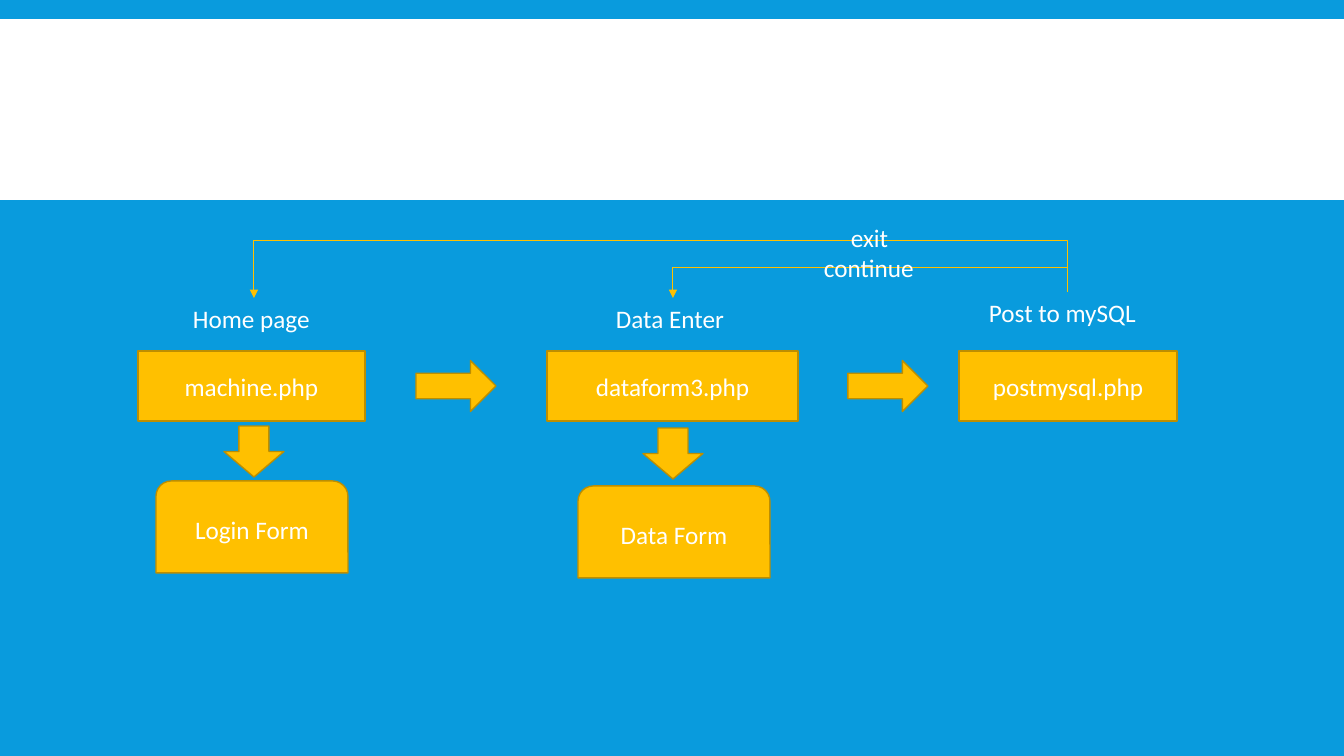
from lxml import etree
from pptx import Presentation
from pptx import util as u
from pptx.dml.color import RGBColor
from pptx.enum import shapes, text
from pptx.oxml import ns

PAGES = [
    {"label": "Home page", "label_at": (183, 298, 142), "file": "machine.php",
     "box": (138, 227), "form": "Login Form", "form_at": (156, 481), "arrow_top": 426},
    {"label": "Data Enter", "label_at": (606, 298, 134), "file": "dataform3.php",
     "box": (547, 251), "form": "Data Form", "form_at": (578, 486), "arrow_top": 428},
    {"label": "Post to mySQL", "label_at": (979, 292, 178), "file": "postmysql.php",
     "box": (959, 218)},
]
STEP_LEFTS = [416, 848]
RETURNS = [
    {"label": "continue", "label_at": (814, 247, 113), "target": 1, "lane": 267},
    {"label": "exit", "label_at": (841, 217, 59), "target": 0, "lane": 240},
]
SLIDE = (1344, 756)
BAND = (0, 19, 1344, 181)
BOX_TOP, BOX_HEIGHT = 351, 70
STEP_SIZE = (80, 51)
DOWN_SIZE = (60, 51)
FORM_SIZE = (192, 92)
LABEL_HEIGHT = 40
THEME = {
    "font": "Calibri", "size": 18, "text": "FFFFFF", "band": "FFFFFF",
    "background": "099BDD", "fill": "FFC000", "outline": "BD8E00",
    "outline_width": 1, "return_width": 0.75,
}
SCALE = 914400 / 100.8


def px(*lengths):
    return [u.Emu(round(length * SCALE)) for length in lengths]


def color(name):
    return RGBColor.from_string(THEME[name])


def write(frame, words):
    paragraph = frame.paragraphs[0]
    paragraph.text = words
    paragraph.font.name = THEME["font"]
    paragraph.font.size = u.Pt(THEME["size"])
    paragraph.font.color.rgb = color("text")
    return paragraph


def add_block(slide, preset, place, words=""):
    block = slide.shapes.add_shape(preset, *px(*place))
    block.shadow.inherit = False
    block.fill.solid()
    block.fill.fore_color.rgb = color("fill")
    block.line.color.rgb = color("outline")
    block.line.width = u.Pt(THEME["outline_width"])
    if words:
        block.text_frame.vertical_anchor = text.MSO_ANCHOR.MIDDLE
        write(block.text_frame, words).alignment = text.PP_ALIGN.CENTER


def add_label(slide, words, place):
    label = slide.shapes.add_textbox(*px(*place, LABEL_HEIGHT))
    label.text_frame.word_wrap = False
    label.text_frame.auto_size = text.MSO_AUTO_SIZE.SHAPE_TO_FIT_TEXT
    write(label.text_frame, words)


def label_top(page):
    left, top, width = page["label_at"]
    return left + width / 2, top


def add_return(slide, start, end, lane):
    (start_x, start_y), (end_x, end_y) = start, end
    mid_x, mid_y = (start_x + end_x) / 2, (start_y + end_y) / 2
    drop, span = end_y - start_y, start_x - end_x
    route = slide.shapes.add_connector(
        shapes.MSO_CONNECTOR.ELBOW,
        *px(mid_x + drop / 2, mid_y + span / 2, mid_x - drop / 2, mid_y - span / 2))
    route.line.color.rgb = color("fill")
    route.line.width = u.Pt(THEME["return_width"])
    properties = route._element.spPr
    properties.find(ns.qn("a:xfrm")).set("rot", str(270 * 60000))
    guides = properties.find(ns.qn("a:prstGeom")).get_or_add_avLst()
    bend = round((lane - start_y) / drop * 100000)
    etree.SubElement(guides, ns.qn("a:gd"), name="adj1", fmla=f"val {bend}")
    etree.SubElement(route.line._get_or_add_ln(), ns.qn("a:tailEnd"), type="triangle")
    etree.SubElement(properties, ns.qn("a:effectLst"))


def main():
    deck = Presentation()
    deck.slide_width, deck.slide_height = px(*SLIDE)
    slide = deck.slides.add_slide(deck.slide_layouts[6])
    slide.background.fill.solid()
    slide.background.fill.fore_color.rgb = color("background")

    band = slide.shapes.add_shape(shapes.MSO_SHAPE.RECTANGLE, *px(*BAND))
    band.shadow.inherit = False
    band.fill.solid()
    band.fill.fore_color.rgb = color("band")
    band.line.fill.background()

    for page in PAGES:
        left, width = page["box"]
        add_block(slide, shapes.MSO_SHAPE.RECTANGLE,
                  (left, BOX_TOP, width, BOX_HEIGHT), page["file"])
        add_label(slide, page["label"], page["label_at"])
        if "form" in page:
            axis = label_top(page)[0]
            add_block(slide, shapes.MSO_SHAPE.DOWN_ARROW,
                      (axis - DOWN_SIZE[0] / 2, page["arrow_top"], *DOWN_SIZE))
            add_block(slide, shapes.MSO_SHAPE.ROUND_2_SAME_RECTANGLE,
                      (*page["form_at"], *FORM_SIZE), page["form"])

    step_top = BOX_TOP + (BOX_HEIGHT - STEP_SIZE[1]) / 2
    for left in STEP_LEFTS:
        add_block(slide, shapes.MSO_SHAPE.RIGHT_ARROW, (left, step_top, *STEP_SIZE))

    for back in RETURNS:
        add_return(slide, label_top(PAGES[-1]), label_top(PAGES[back["target"]]), back["lane"])
    for back in RETURNS:
        add_label(slide, back["label"], back["label_at"])

    deck.save("out.pptx")


if __name__ == "__main__":
    main()
